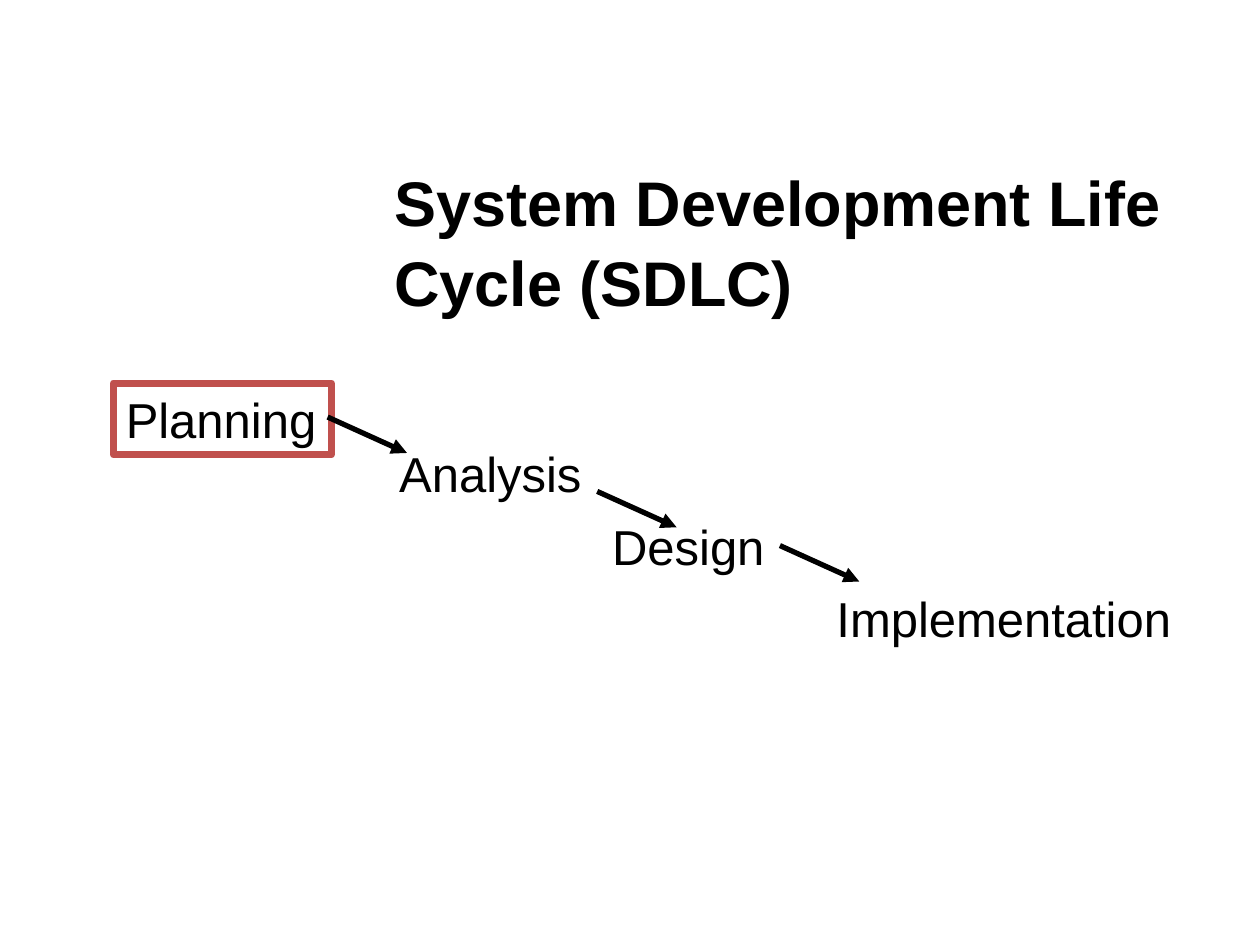
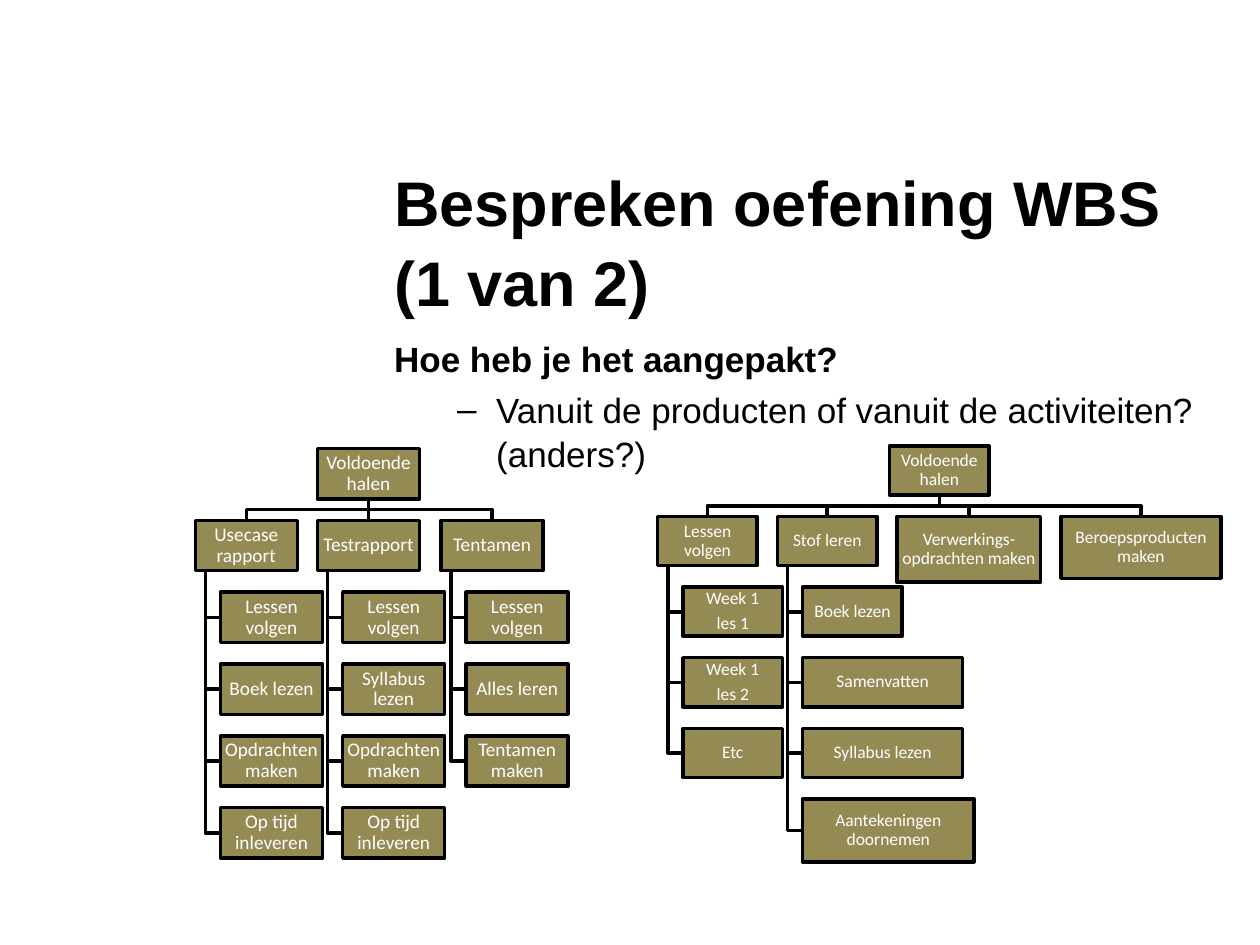
from dataclasses import dataclass

from lxml import etree
from pptx import Presentation
from pptx.dml.color import RGBColor
from pptx.enum.shapes import MSO_CONNECTOR, MSO_SHAPE
from pptx.enum.text import MSO_ANCHOR, PP_ALIGN
from pptx.oxml.ns import qn
from pptx.util import Inches, Pt

RECTANGLE = MSO_SHAPE.RECTANGLE
STRAIGHT = MSO_CONNECTOR.STRAIGHT
MIDDLE = MSO_ANCHOR.MIDDLE
CENTER = PP_ALIGN.CENTER
BOTTOM_SITE, TOP_SITE = 2, 0

BLACK, WHITE, RED, OLIVE = "000000", "FFFFFF", "C0504D", "948A54"
HEADING_FONT, TREE_FONT = "Arial", "Calibri"
TEXT_LEFT, TEXT_WIDTH = 3.03, 6.67
LINE_SPACING = 1.05
LEAF_INDENT, TRUNK_INDENT = 0.2, 0.08


@dataclass
class Node:
    """A box of a breakdown tree; zero sizes mean the tree's usual size."""
    label: str
    width: float = 0
    height: float = 0
    left: float = 0
    leaves: tuple = ()


@dataclass
class TreeStyle:
    """Usual box size, row distance and text size of a breakdown tree."""
    width: float
    height: float
    row_step: float
    text_size: int


def color(hex_value):
    """Turn a hex string into a colour."""
    return RGBColor.from_string(hex_value)


def inches(*lengths):
    """Convert several lengths to inches."""
    return [Inches(length) for length in lengths]


def style_runs(paragraph, size, font=HEADING_FONT, ink=BLACK, bold=False):
    """Format every run of a paragraph."""
    for run in paragraph.runs:
        run.font.size = Pt(size)
        run.font.name = font
        run.font.bold = bold
        run.font.color.rgb = color(ink)


def style_line(shape, ink, width):
    """Set the outline of a shape or connector."""
    shape.line.color.rgb = color(ink)
    shape.line.width = Pt(width)


def add_text(slide, text, left, top, width, height, size, bold=False, wrap=False):
    """Add a text box and return its frame."""
    frame = slide.shapes.add_textbox(*inches(left, top, width, height)).text_frame
    frame.word_wrap = wrap
    frame.text = text
    for paragraph in frame.paragraphs:
        style_runs(paragraph, size, bold=bold)
    return frame


def add_title(slide, title):
    """Add the slide title."""
    frame = add_text(slide, title, TEXT_LEFT, 1.22, TEXT_WIDTH, 0.71, 36, True, True)
    frame.paragraphs[0].line_spacing = LINE_SPACING


def add_question(slide, question, detail):
    """Add a bold question with one dashed detail below it."""
    frame = add_text(slide, f"{question}\n{detail}", TEXT_LEFT, 2.61,
                     TEXT_WIDTH, 4.32, 20, wrap=True)
    heading, dashed = frame.paragraphs
    heading.line_spacing = dashed.line_spacing = LINE_SPACING
    style_runs(heading, 20, bold=True)
    dashed.space_before = Pt(4)
    properties = dashed._p.get_or_add_pPr()
    properties.set("marL", str(Inches(0.81)))
    properties.set("indent", str(Inches(-0.31)))
    etree.SubElement(properties, qn("a:buFont"), typeface=HEADING_FONT)
    etree.SubElement(properties, qn("a:buChar"), char="–")


def add_line(slide, start, end, width):
    """Add a plain black connector without shadow."""
    line = slide.shapes.add_connector(STRAIGHT, *inches(*start, *end))
    style_line(line, BLACK, width)
    etree.SubElement(line._element.spPr, qn("a:effectLst"))
    return line


def add_arrow(slide, left, top):
    """Add an arrow that steps down to the next phase."""
    arrow = add_line(slide, (left, top), (left + 0.63, top + 0.285), 3)
    etree.SubElement(arrow.line._get_or_add_ln(), qn("a:tailEnd"), type="triangle")


def add_branch_path(slide, *points):
    """Add a black polyline through the points."""
    start, *others = [inches(*point) for point in points]
    builder = slide.shapes.build_freeform(*start)
    builder.add_line_segments(others, close=False)
    branch_path = builder.convert_to_shape()
    branch_path.fill.background()
    branch_path.shadow.inherit = False
    style_line(branch_path, BLACK, 2)


def add_frame(slide, left, top, width, height, ink, line_width):
    """Add an unfilled rectangle with an outline."""
    frame = slide.shapes.add_shape(RECTANGLE, *inches(left, top, width, height))
    frame.fill.background()
    frame.shadow.inherit = False
    style_line(frame, ink, line_width)
    return frame


def add_node(slide, node, left, top, style):
    """Add a labelled tree box and return it."""
    box = add_frame(slide, left, top, node.width or style.width,
                    node.height or style.height, BLACK, 2)
    box.fill.solid()
    box.fill.fore_color.rgb = color(OLIVE)
    frame = box.text_frame
    frame.word_wrap = True
    frame.vertical_anchor = MIDDLE
    frame.margin_left = frame.margin_right = Inches(0.01)
    frame.margin_top = frame.margin_bottom = Inches(0.01)
    frame.text = node.label
    for paragraph in frame.paragraphs:
        paragraph.alignment = CENTER
        paragraph.line_spacing = 0.9
        paragraph.space_after = Pt(0.35 * style.text_size)
        style_runs(paragraph, style.text_size, TREE_FONT, WHITE)
    return box


def add_leaves(slide, branch, branch_top, style):
    """Add the leaves under a branch, each tied to the trunk."""
    trunk = branch.left + TRUNK_INDENT
    leaf_left = branch.left + LEAF_INDENT
    for row, leaf in enumerate(branch.leaves, start=1):
        top = branch_top + row * style.row_step
        middle = top + (leaf.height or style.height) / 2
        add_branch_path(slide, (trunk, branch_top + style.height),
                        (trunk, middle), (leaf_left, middle))
        add_node(slide, leaf, leaf_left, top, style)


def add_tree(slide, root, top, branches, style):
    """Add a breakdown tree with a root, branches and leaves."""
    root_box = add_node(slide, root, root.left, top, style)
    root_center = root.left + style.width / 2
    root_bottom = top + style.height
    branch_top = top + style.row_step
    fork = (root_bottom + branch_top) / 2
    for branch in branches:
        center = branch.left + (branch.width or style.width) / 2
        branch_box = add_node(slide, branch, branch.left, branch_top, style)
        if branch.left == root.left:
            stem = add_line(slide, (root_center, root_bottom), (center, branch_top), 2)
            stem.begin_connect(root_box, BOTTOM_SITE)
            stem.end_connect(branch_box, TOP_SITE)
        else:
            add_branch_path(slide, (root_center, root_bottom), (root_center, fork),
                            (center, fork), (center, branch_top))
        add_leaves(slide, branch, branch_top, style)


def nodes(*labels):
    """Make usual-sized nodes from labels."""
    return tuple(Node(label) for label in labels)


def build_life_cycle(slide):
    """Build the slide with the phases of the life cycle."""
    add_title(slide, "System Development Life Cycle (SDLC)")
    add_frame(slide, 0.9, 3.04, 1.73, 0.57, RED, 4)
    phases = [("Planning", 0.9, 3.04, 1.73), ("Analysis", 3.07, 3.47, 1.67),
              ("Design", 4.76, 4.05, 1.43), ("Implementation", 6.54, 4.62, 2.89)]
    for phase, left, top, width in phases:
        add_text(slide, phase, left, top, width, 0.57, 28)
    for left, top in [(2.6, 3.31), (4.74, 3.9), (6.19, 4.33)]:
        add_arrow(slide, left, top)


def build_breakdown(slide):
    """Build the slide that compares two breakdown trees."""
    add_title(slide, "Bespreken oefening WBS (1 van 2)")
    add_question(slide, "Hoe heb je het aangepakt?",
                 "Vanuit de producten of vanuit de activiteiten? (anders?)")
    products = [
        Node("Usecase rapport", left=1.55, leaves=nodes(
            "Lessen volgen", "Boek lezen", "Opdrachten maken", "Op tijd inleveren")),
        Node("Testrapport", left=2.52, leaves=nodes(
            "Lessen volgen", "Syllabus lezen", "Opdrachten maken", "Op tijd inleveren")),
        Node("Tentamen", left=3.5, leaves=nodes(
            "Lessen volgen", "Alles leren", "Tentamen maken")),
    ]
    activities = [
        Node("Lessen volgen", left=5.22, leaves=nodes(
            "Week 1\nles 1", "Week 1\nles 2", "Etc")),
        Node("Stof leren", left=6.17, leaves=(
            Node("Boek lezen"), Node("Samenvatten", 1.27),
            Node("Syllabus lezen", 1.27), Node("Aantekeningen doornemen", 1.36, 0.5))),
        Node("Verwerkings- opdrachten maken", 1.14, 0.52, 7.12),
        Node("Beroepsproducten maken", 1.27, 0.49, 8.42),
    ]
    goal = "Voldoende halen"
    add_tree(slide, Node(goal, left=2.52), 3.56, products,
             TreeStyle(0.81, 0.4, 0.57, 11))
    add_tree(slide, Node(goal, left=7.06), 3.54, activities,
             TreeStyle(0.79, 0.39, 0.56, 10))


def main():
    """Build and save the presentation."""
    presentation = Presentation()
    presentation.slide_width, presentation.slide_height = inches(10, 7.5)
    blank = presentation.slide_layouts[6]
    for build in (build_life_cycle, build_breakdown):
        build(presentation.slides.add_slide(blank))
    presentation.save("out.pptx")


if __name__ == "__main__":
    main()
